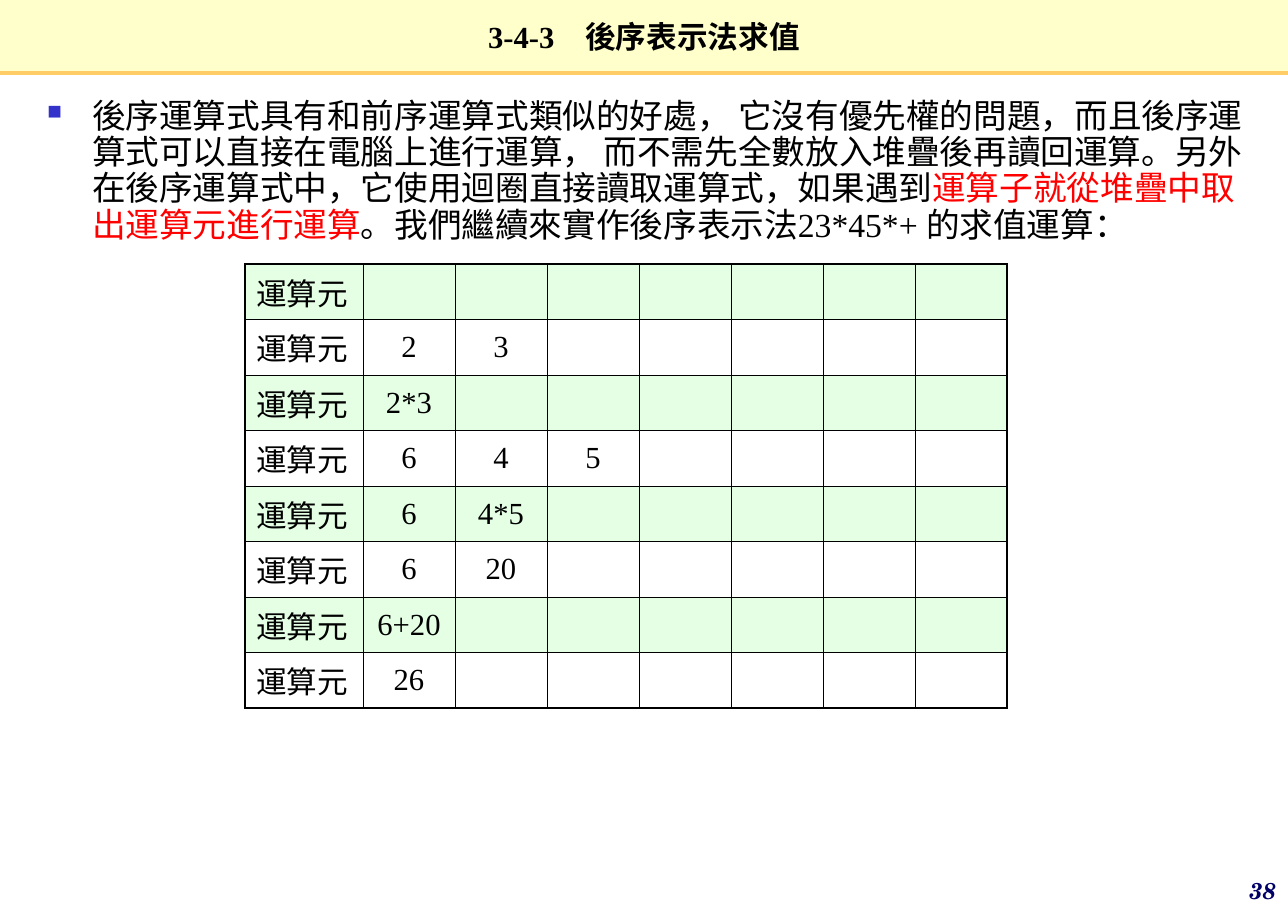
import pptx
import pptx.dml.color
import pptx.enum.shapes
import pptx.enum.text
import pptx.oxml.ns
import pptx.util
from lxml import etree

PX = 8297  # EMU in one px
COLORS = {
    "black": "000000", "white": "FFFFFF", "red": "FF0000", "navy": "000066",
    "cream": "FFFFCC", "gold": "FFCC66", "mint": "E5FFE5", "blue": "3333CC",
}
SERIF = "Times New Roman"
ALIGN = pptx.enum.text.PP_ALIGN
ANCHOR = pptx.enum.text.MSO_ANCHOR

LABEL = "運算元"
STEPS = [[], ["2", "3"], ["2*3"], ["6", "4", "5"], ["6", "4*5"],
         ["6", "20"], ["6+20"], ["26"]]
COLS = [118] + [92] * 7
BODY = [
    ("後序運算式具有和前序運算式類似的好處， 它沒有優先權的問題，"
     "而且後序運算式可以直接在電腦上進行運算， 而不需先全數放入堆疊後再讀回運算。"
     "另外在後序運算式中，它使用迴圈直接讀取運算式，如果遇到", "black"),
    ("運算子就從堆疊中取出運算元進行運算", "red"),
    ("。我們繼續來實作後序表示法23*45*+ 的求值運算：", "black"),
]


def rgb(name):
    return pptx.dml.color.RGBColor.from_string(COLORS[name])


def box(*sides):
    return [side * PX for side in sides]


def add(parent, tag, **attrs):
    return etree.SubElement(parent, pptx.oxml.ns.qn(tag), attrs)


def style(font, size, color="black", name=SERIF, bold=False, italic=False):
    font.size = pptx.util.Pt(size)
    font.name = name
    font.bold = bold
    font.italic = italic
    font.color.rgb = rgb(color)


def setup(frame, anchor, side, end):
    frame.word_wrap = True
    frame.auto_size = pptx.enum.text.MSO_AUTO_SIZE.NONE
    frame.vertical_anchor = anchor
    frame.margin_left = frame.margin_right = side * PX
    frame.margin_top = frame.margin_bottom = end * PX


def add_rule(slide):
    ends = box(0, 73, 1288, 73)
    rule = slide.shapes.add_connector(
        pptx.enum.shapes.MSO_CONNECTOR.STRAIGHT, *ends)
    rule.line.color.rgb = rgb("gold")
    rule.line.width = pptx.util.Pt(3)
    add(rule._element.spPr, "a:effectLst")


def set_title(slide):
    title = slide.shapes.title
    title.left, title.top, title.width, title.height = box(0, 0, 1288, 72)
    title.fill.solid()
    title.fill.fore_color.rgb = rgb("cream")
    setup(title.text_frame, ANCHOR.MIDDLE, 0, 0)
    title.text_frame.text = "3-4-3　後序表示法求值"
    para = title.text_frame.paragraphs[0]
    para.alignment = ALIGN.CENTER
    style(para.runs[0].font, 20, bold=True)


def add_body(slide):
    frame = slide.shapes.add_textbox(*box(35, 93, 1225, 173)).text_frame
    setup(frame, ANCHOR.TOP, 12, 6)
    para = frame.paragraphs[0]
    para.line_spacing = 0.9
    # Square bullet with a hanging indent
    props = para._p.get_or_add_pPr()
    props.set("marL", str(45 * PX))
    props.set("indent", str(-45 * PX))
    add(add(props, "a:buClr"), "a:srgbClr", val=COLORS["blue"])
    add(props, "a:buSzPct", val="60000")
    add(props, "a:buChar", char="■")
    for text, color in BODY:
        run = para.add_run()
        run.text = text
        style(run.font, 22, color)


def set_edges(cell, outer):
    props = cell._tc.get_or_add_tcPr()
    for side in "LRTB":
        width = pptx.util.Pt(1.08 if side in outer else 0.45)
        edge = add(props, f"a:ln{side}", w=str(width))
        add(add(edge, "a:solidFill"), "a:srgbClr", val=COLORS["black"])


def set_cell(cell, text, align, fill, outer):
    set_edges(cell, outer)
    cell.fill.solid()
    cell.fill.fore_color.rgb = rgb(fill)
    cell.vertical_anchor = ANCHOR.MIDDLE
    cell.text_frame.text = text
    para = cell.text_frame.paragraphs[0]
    para.alignment = align
    style(para.font, 20)
    for run in para.runs:
        style(run.font, 20)


def add_stack(slide):
    rows, cols = len(STEPS), len(COLS)
    grid = slide.shapes.add_table(
        rows, cols, *box(245, 264, sum(COLS), 444)).table
    grid.first_row = grid.horz_banding = False
    for col, width in zip(grid.columns, COLS):
        col.width = width * PX
    for r, step in enumerate(STEPS):
        texts = [LABEL] + step + [""] * (cols - 1 - len(step))
        fill = "white" if r % 2 else "mint"
        for c, text in enumerate(texts):
            outer = (("T" if r == 0 else "") + ("B" if r == rows - 1 else "")
                     + ("L" if c == 0 else "") + ("R" if c == cols - 1 else ""))
            align = ALIGN.CENTER if c else ALIGN.LEFT
            set_cell(grid.cell(r, c), text, align, fill, outer)


def add_number(slide):
    frame = slide.shapes.add_textbox(*box(1020, 876, 268, 34)).text_frame
    setup(frame, ANCHOR.BOTTOM, 12, 6)
    frame.text = "38"
    para = frame.paragraphs[0]
    para.alignment = ALIGN.RIGHT
    style(para.runs[0].font, 15, "navy", "TeX Gyre Schola", True, True)


def main():
    deck = pptx.Presentation()
    deck.slide_width, deck.slide_height = box(1288, 911)
    slide = deck.slides.add_slide(deck.slide_layouts[5])
    # Heading
    set_title(slide)
    add_rule(slide)
    # Text and the stack at each step
    add_body(slide)
    add_stack(slide)
    # Page number
    add_number(slide)
    deck.save("out.pptx")


if __name__ == "__main__":
    main()
